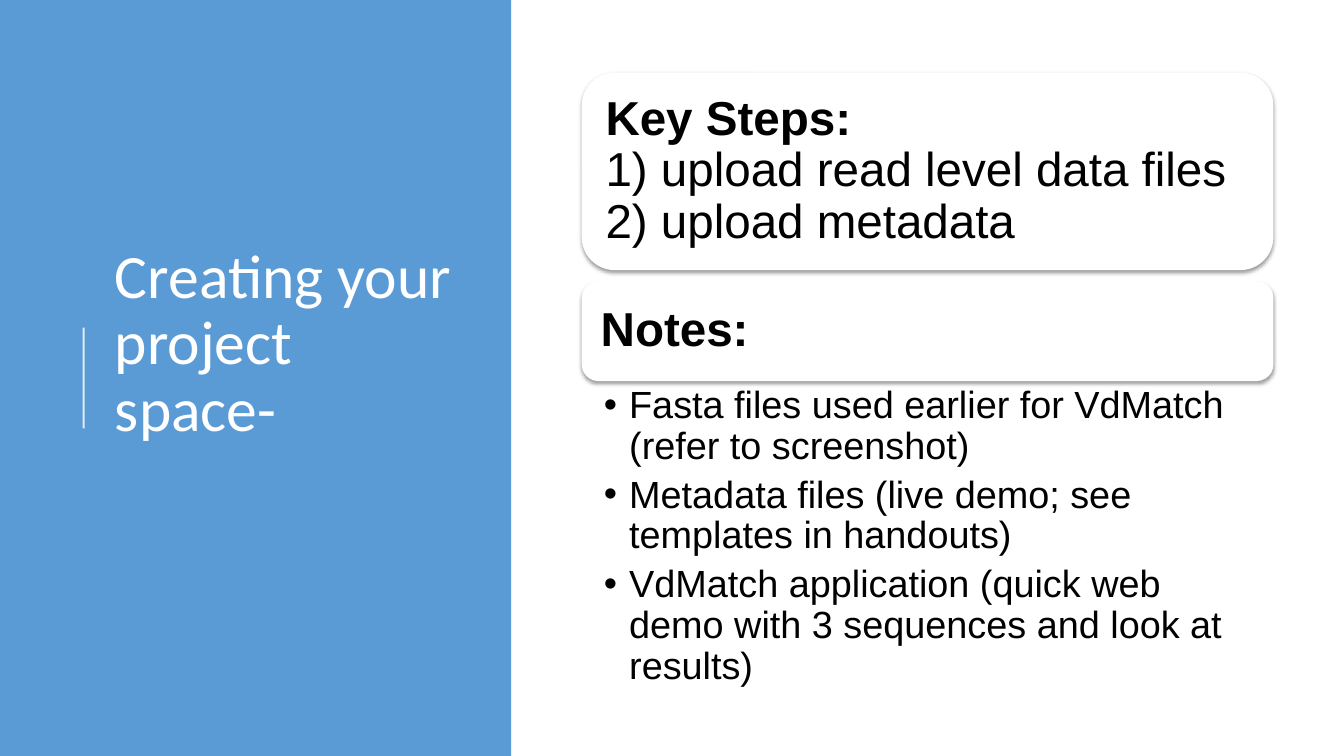
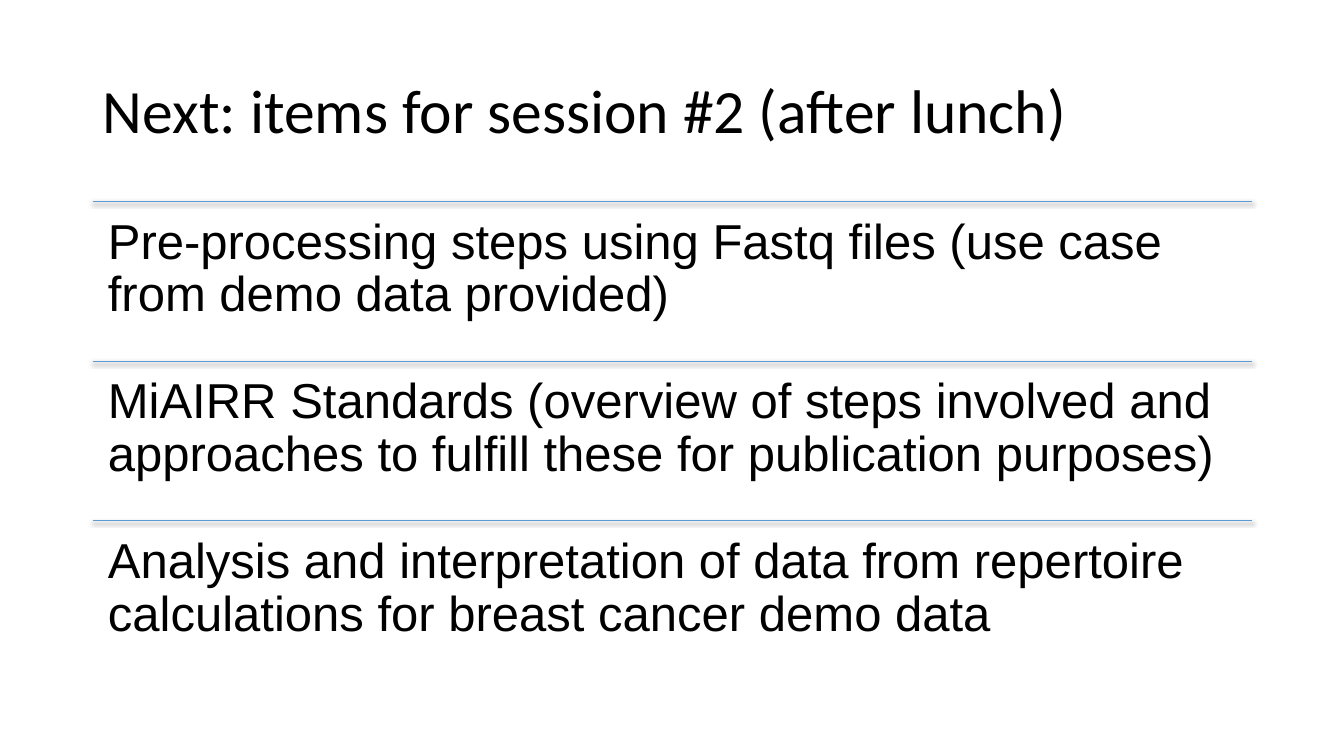
from lxml import etree
from pptx import Presentation
from pptx.dml.color import RGBColor
from pptx.enum.shapes import MSO_CONNECTOR, MSO_SHAPE
from pptx.enum.text import MSO_ANCHOR, MSO_AUTO_SIZE, PP_ALIGN
from pptx.oxml.ns import qn
from pptx.util import Inches, Pt

STRAIGHT = MSO_CONNECTOR.STRAIGHT
RECTANGLE, ROUNDED = MSO_SHAPE.RECTANGLE, MSO_SHAPE.ROUNDED_RECTANGLE
TOP, MIDDLE = MSO_ANCHOR.TOP, MSO_ANCHOR.MIDDLE
NO_AUTOFIT, LEFT = MSO_AUTO_SIZE.NONE, PP_ALIGN.LEFT
BLUE, WHITE, BLACK = "5B9BD5", "FFFFFF", "000000"
TITLE_FONT, BODY_FONT = "Calibri", "Arial"
TITLE_CONTENT_LAYOUT, TITLE_ONLY_LAYOUT = 1, 5

PROJECT_TITLE = "Creating your project space-"
# Top, height, then lines whose first one is bold
CARDS = [
    (0.72, 1.96, ["Key Steps:", "1) upload read level data files", "2) upload metadata"]),
    (2.79, 0.99, ["Notes:"]),
]
NOTES = [
    "Fasta files used earlier for VdMatch (refer to screenshot)",
    "Metadata files (live demo; see templates in handouts)",
    "VdMatch application (quick web demo with 3 sequences and look at results)",
]
SESSION_TITLE = "Next: items for session #2 (after lunch)"
SESSION_ITEMS = [
    "Pre-processing steps using Fastq files (use case from demo data provided)",
    "MiAIRR Standards (overview of steps involved and approaches to fulfill these "
    "for publication purposes)",
    "Analysis and interpretation of data from repertoire calculations for breast cancer demo data",
]


def color(value):
    return RGBColor.from_string(value)


def place(shape, left, top, width, height):
    shape.left, shape.top = Inches(left), Inches(top)
    shape.width, shape.height = Inches(width), Inches(height)


def add_child(parent, tag, **attributes):
    return etree.SubElement(parent, qn(tag), {k: str(v) for k, v in attributes.items()})


def set_effect(shape, shadow=False):
    """Replace inherited effects with none, or with a soft shadow below."""
    effects = add_child(shape.element.spPr, "a:effectLst")
    if shadow:
        outer = add_child(effects, "a:outerShdw", blurRad=Pt(3.1), dist=Pt(1.6),
                          dir=5400000, algn="ctr", rotWithShape=0)
        add_child(add_child(outer, "a:srgbClr", val=BLACK), "a:alpha", val=38000)


def add_bullet(paragraph):
    properties = paragraph._p.get_or_add_pPr()
    properties.set("marL", str(Inches(0.25)))
    properties.set("indent", str(Inches(-0.25)))
    add_child(add_child(properties, "a:buClr"), "a:srgbClr", val=BLACK)
    add_child(properties, "a:buFont", typeface=BODY_FONT)
    add_child(properties, "a:buChar", char="•")


def write(shape, lines, size, font=BODY_FONT, text_color=BLACK, anchor=TOP,
          insets=(0.1, 0.05, 0.1, 0.05), bold_first=False, bullets=False, space_after=0):
    frame = shape.text_frame
    frame.word_wrap, frame.auto_size = True, NO_AUTOFIT
    frame.vertical_anchor = anchor
    (frame.margin_left, frame.margin_top,
     frame.margin_right, frame.margin_bottom) = map(Inches, insets)
    for index, line in enumerate(lines):
        paragraph = frame.add_paragraph() if index else frame.paragraphs[0]
        paragraph.alignment, paragraph.line_spacing = LEFT, 0.9
        paragraph.space_before, paragraph.space_after = Pt(0), Pt(space_after)
        run = paragraph.add_run()
        run.text = line
        run.font.name, run.font.size = font, Pt(size)
        run.font.bold = bold_first and index == 0
        run.font.color.rgb = color(text_color)
        if bullets:
            add_bullet(paragraph)


def add_slide(presentation, layout, title, box, title_color):
    slide = presentation.slides.add_slide(presentation.slide_layouts[layout])
    place(slide.shapes.title, *box)
    write(slide.shapes.title, [title], 44, font=TITLE_FONT, text_color=title_color, anchor=MIDDLE)
    return slide


def add_box(slide, kind, box, fill):
    shape = slide.shapes.add_shape(kind, *map(Inches, box))
    shape.fill.solid()
    shape.fill.fore_color.rgb = color(fill)
    shape.line.fill.background()
    set_effect(shape, shadow=kind == ROUNDED)
    return shape


def add_rule(slide, start, end, line_color, width, shadow=False):
    rule = slide.shapes.add_connector(STRAIGHT, *map(Inches, start + end))
    rule.line.color.rgb = color(line_color)
    rule.line.width = Pt(width)
    set_effect(rule, shadow)
    return rule


def build_project_slide(presentation):
    slide = add_slide(presentation, TITLE_CONTENT_LAYOUT, PROJECT_TITLE,
                      (1.04, 0.78, 3.6, 5.28), WHITE)
    panel = add_box(slide, RECTANGLE, (0, 0, 5.07, 7.5), BLUE)
    slide.shapes.title.element.addprevious(panel.element)
    accent = add_rule(slide, (0.83, 4.25), (0.83, 3.25), WHITE, 1.5)
    for line_color in accent.element.iter(qn("a:srgbClr")):
        add_child(line_color, "a:alpha", val=80000)

    left, width = 5.77, 6.86
    for top, height, lines in CARDS:
        card = add_box(slide, ROUNDED, (left, top, width, height), WHITE)
        write(card, lines, 34, anchor=MIDDLE, insets=(0.14,) * 4, bold_first=True)
    notes = slide.placeholders[1]
    place(notes, left, 3.78, width, 3)
    write(notes, NOTES, 27, insets=(0.22, 0.05, 0.26, 0.05), bullets=True, space_after=5.4)


def build_session_slide(presentation):
    left, width = 0.92, 11.5
    slide = add_slide(presentation, TITLE_ONLY_LAYOUT, SESSION_TITLE,
                      (left, 0.4, width, 1.45), BLACK)
    first_top, row_height = 2, 4.75 / len(SESSION_ITEMS)
    for index, item in enumerate(SESSION_ITEMS):
        top = first_top + index * row_height
        add_rule(slide, (left, top), (left + width, top), BLUE, 0.75, shadow=True)
        box = slide.shapes.add_textbox(*map(Inches, (left, top, width, row_height)))
        write(box, [item], 35, insets=(0.15,) * 4)


def main():
    presentation = Presentation()
    presentation.slide_width, presentation.slide_height = Inches(13.33), Inches(7.5)
    build_project_slide(presentation)
    build_session_slide(presentation)
    presentation.save("out.pptx")


if __name__ == "__main__":
    main()
